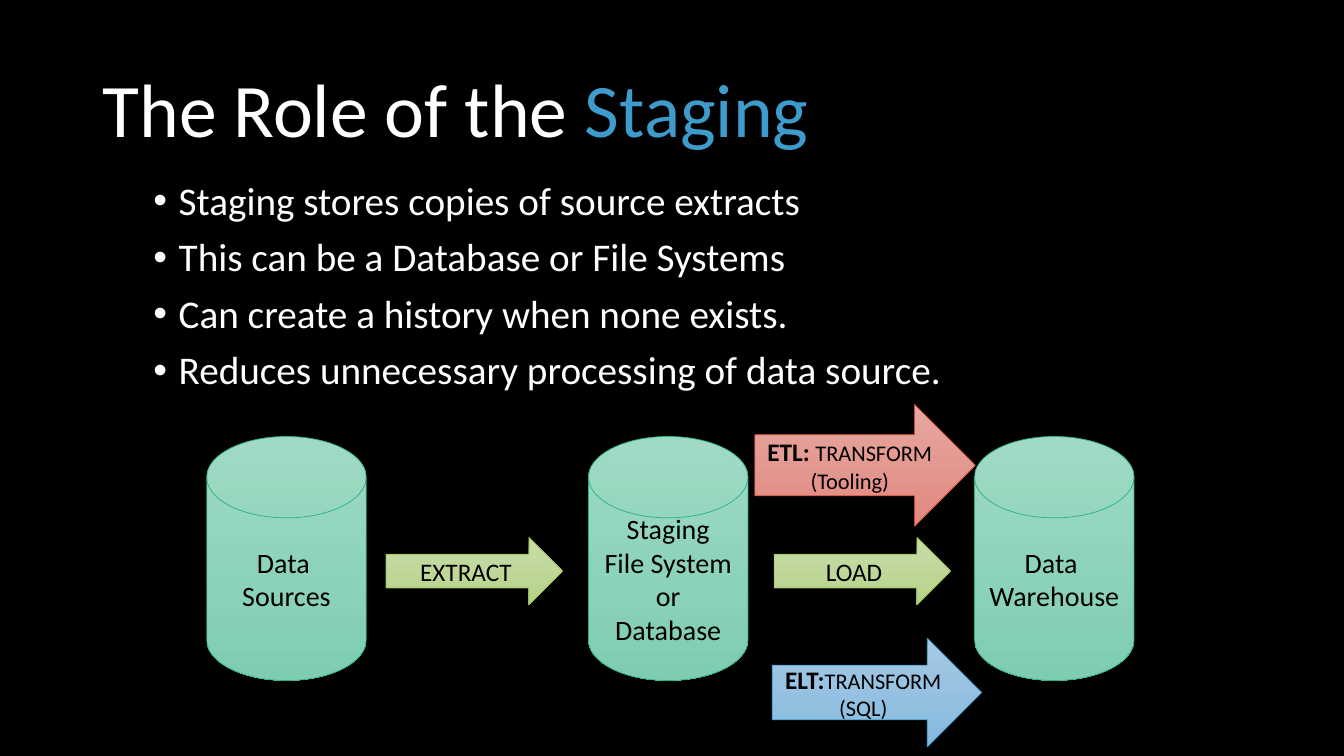
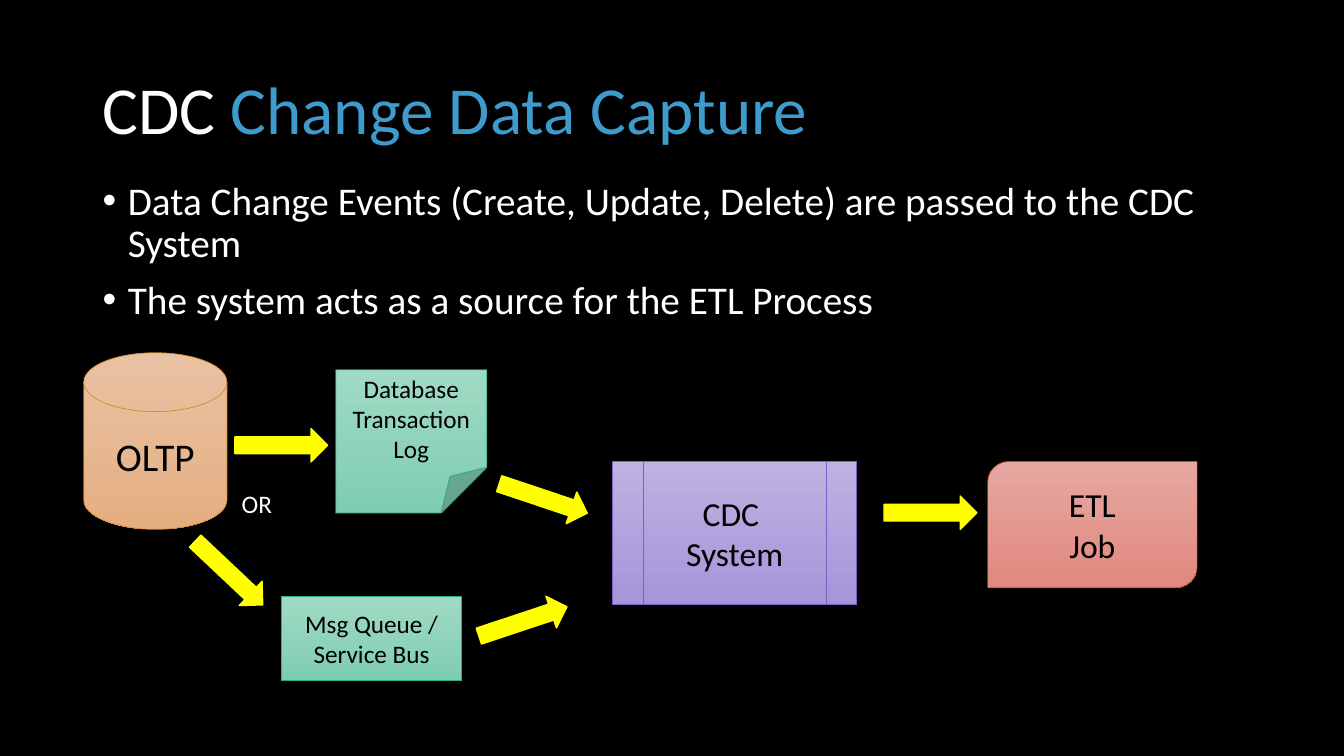
"""Build two slides on staging and change data capture."""
from dataclasses import dataclass

from lxml import etree
from pptx import Presentation
from pptx import util as u
from pptx.dml.color import RGBColor
from pptx.enum import shapes, text
from pptx.oxml.ns import qn

MSO = shapes.MSO_SHAPE
ALIGN = text.PP_ALIGN


@dataclass(frozen=True)
class Theme:
    """Colours, fill palettes (top, bottom, line) and type sizes."""
    font: str = "Calibri"
    back: str = "000000"
    light: str = "FFFFFF"
    dark: str = "000000"
    accent: str = "3D9CCC"
    yellow: str = "FFFF00"
    teal: tuple = ("A0DAC4", "7ECDB1", "29AF8C")
    green: tuple = ("C8DCA9", "B6D38A", "97BE49")
    red: tuple = ("E6A8A1", "E1887F", "C9492C")
    blue: tuple = ("A6CAE4", "85B9DE", "3D9CCC")
    orange: tuple = ("E9C2A3", "E5AE81", "D58C2E")
    violet: tuple = ("BDB2E1", "A595D9", "7C60C6")
    title: int = 54
    title_small: int = 48
    body: int = 28
    large: int = 24
    store: int = 20
    label: int = 18
    small: int = 16


T = Theme()


def box(x, y, w, h):
    """Return a left, top, width, height box given in centimetres."""
    return [u.Cm(v) for v in (x, y, w, h)]


def place(sp, area):
    """Move and size a shape."""
    sp.left, sp.top, sp.width, sp.height = area


def write(p, content, size=T.label, color=T.dark, bold=None, align=None):
    """Append text to a paragraph, turning newlines into line breaks."""
    if align is not None:
        p.alignment = align
    for i, line in enumerate(content.split("\n")):
        if i:
            p.add_line_break()
        r = p.add_run()
        r.text = line
        r.font.name = T.font
        r.font.size = u.Pt(size)
        r.font.bold = bold
        r.font.color.rgb = RGBColor.from_string(color)


def add_slide(prs, plain, accented, size, bullets, area):
    """Add a slide with a two-colour title and a bulleted list."""
    s = prs.slides.add_slide(prs.slide_layouts[1])
    place(s.shapes.title, box(2.33, 1.01, 29.21, 3.68))
    tf = s.shapes.title.text_frame
    tf.auto_size = text.MSO_AUTO_SIZE.NONE
    tf.vertical_anchor = text.MSO_ANCHOR.MIDDLE
    p = tf.paragraphs[0]
    p.line_spacing = 0.9
    write(p, plain, size, T.light, align=ALIGN.LEFT)
    write(p, accented, size, T.accent)

    body = s.placeholders[1]
    place(body, area)
    tf = body.text_frame
    tf.auto_size = text.MSO_AUTO_SIZE.NONE
    for i, bullet in enumerate(bullets):
        p = tf.add_paragraph() if i else tf.paragraphs[0]
        p.line_spacing, p.space_before = 0.9, u.Pt(10)
        pPr = p._p.get_or_add_pPr()
        pPr.set("marL", str(u.Cm(0.64)))
        pPr.set("indent", str(-u.Cm(0.64)))
        write(p, bullet, T.body, T.light)
    return s


def add_block(s, kind, area, palette, content, size=T.label, lead=""):
    """Add a gradient shape with centred text and an optional bold lead."""
    sp = s.shapes.add_shape(kind, *area)
    sp.shadow.inherit = False
    top, bottom, line = (RGBColor.from_string(c) for c in palette)
    sp.fill.gradient()
    sp.fill.gradient_angle = 270
    for stop, color in zip(sp.fill.gradient_stops, (top, bottom)):
        stop.color.rgb = color
    sp.line.color.rgb = line
    sp.line.width = u.Pt(0.5)
    p = sp.text_frame.paragraphs[0]
    if lead:
        write(p, lead, T.label, bold=True)
    write(p, content, size, align=ALIGN.CENTER)
    return sp


def set_fold(sp, share):
    """Set the size of a folded corner as a share of the shorter side."""
    guides = sp._element.find(".//" + qn("a:avLst"))
    etree.SubElement(guides, qn("a:gd"), name="adj",
                     fmla=f"val {round(share * 100000)}")


def add_pointer(s, x, y, angle=0):
    """Add a small yellow block arrow turned by an angle."""
    sp = s.shapes.add_shape(MSO.RIGHT_ARROW, *box(x, y, 2.34, 0.84))
    sp.shadow.inherit = False
    sp.rotation = angle
    sp.fill.solid()
    sp.fill.fore_color.rgb = RGBColor.from_string(T.yellow)
    sp.line.color.rgb = RGBColor.from_string(T.yellow)
    sp.line.width = u.Pt(1)


def add_label(s, area, content):
    """Add a one-line text box in the light colour."""
    tf = s.shapes.add_textbox(*area).text_frame
    tf.word_wrap = False
    write(tf.paragraphs[0], content, T.label, T.light)


def staging_slide(prs):
    """Build the slide on the role of staging."""
    s = add_slide(prs, "The Role of the ", "Staging", T.title, (
        "Staging stores copies of source extracts",
        "This can be a Database or File Systems",
        "Can create a history when none exists.",
        "Reduces unnecessary processing of data source.",
    ), box(3.61, 4.45, 24.77, 5.74))
    for x, name in ((5.21, "Data \nSources"),
                    (14.83, "Staging\nFile System\nor\nDatabase"),
                    (24.56, "Data \nWarehouse")):
        add_block(s, MSO.FLOWCHART_MAGNETIC_DISK, box(x, 11, 4.02, 6.15),
                  T.teal, name, T.store)
    for x, step in ((9.73, "EXTRACT"), (19.51, "LOAD")):
        add_block(s, MSO.RIGHT_ARROW, box(x, 13.54, 4.45, 1.7), T.green, step)
    for area, palette, lead, step in (
            (box(19.02, 10.19, 5.56, 3.07), T.red, "ETL: ", "TRANSFORM\n(Tooling)"),
            (box(19.46, 16.08, 5.28, 2.74), T.blue, "ELT:", "TRANSFORM\n(SQL)")):
        add_block(s, MSO.RIGHT_ARROW, area, palette, step, T.small, lead)


def capture_slide(prs):
    """Build the slide on change data capture."""
    s = add_slide(prs, "CDC ", "Change Data Capture", T.title_small, (
        "Data Change Events (Create, Update, Delete) are passed to the CDC System",
        "The system acts as a source for the ETL Process",
    ), box(2.33, 4.45, 29.21, 4.01))
    add_block(s, MSO.FLOWCHART_MAGNETIC_DISK, box(2.11, 8.89, 3.61, 4.45),
              T.orange, "OLTP", T.body)
    log = add_block(s, MSO.FOLDED_CORNER, box(8.46, 9.32, 3.81, 3.61),
                    T.teal, "Database\nTransaction Log")
    set_fold(log, 0.32)
    add_block(s, MSO.FLOWCHART_PREDEFINED_PROCESS, box(15.44, 11.63, 6.15, 3.61),
              T.violet, "CDC \nSystem", T.large)
    add_block(s, MSO.ROUND_2_DIAG_RECTANGLE, box(24.89, 11.63, 5.28, 3.18),
              T.red, "ETL\nJob", T.large)
    add_block(s, MSO.FLOWCHART_PROCESS, box(7.09, 15.04, 4.55, 2.11),
              T.teal, "Msg Queue /\nService Bus")
    for pointer in ((5.92, 10.8), (12.01, 15.24, 341.6), (12.52, 12.14, 18.5),
                    (22.28, 12.5), (4.6, 14.02, 43.3)):
        add_pointer(s, *pointer)
    add_label(s, box(5.84, 12.19, 1.3, 1.02), "OR")


def main():
    """Create and save the presentation."""
    prs = Presentation()
    prs.slide_width, prs.slide_height = u.Cm(33.87), u.Cm(19.05)
    back = prs.slide_master.background.fill
    back.solid()
    back.fore_color.rgb = RGBColor.from_string(T.back)
    staging_slide(prs)
    capture_slide(prs)
    prs.save("out.pptx")


if __name__ == "__main__":
    main()
